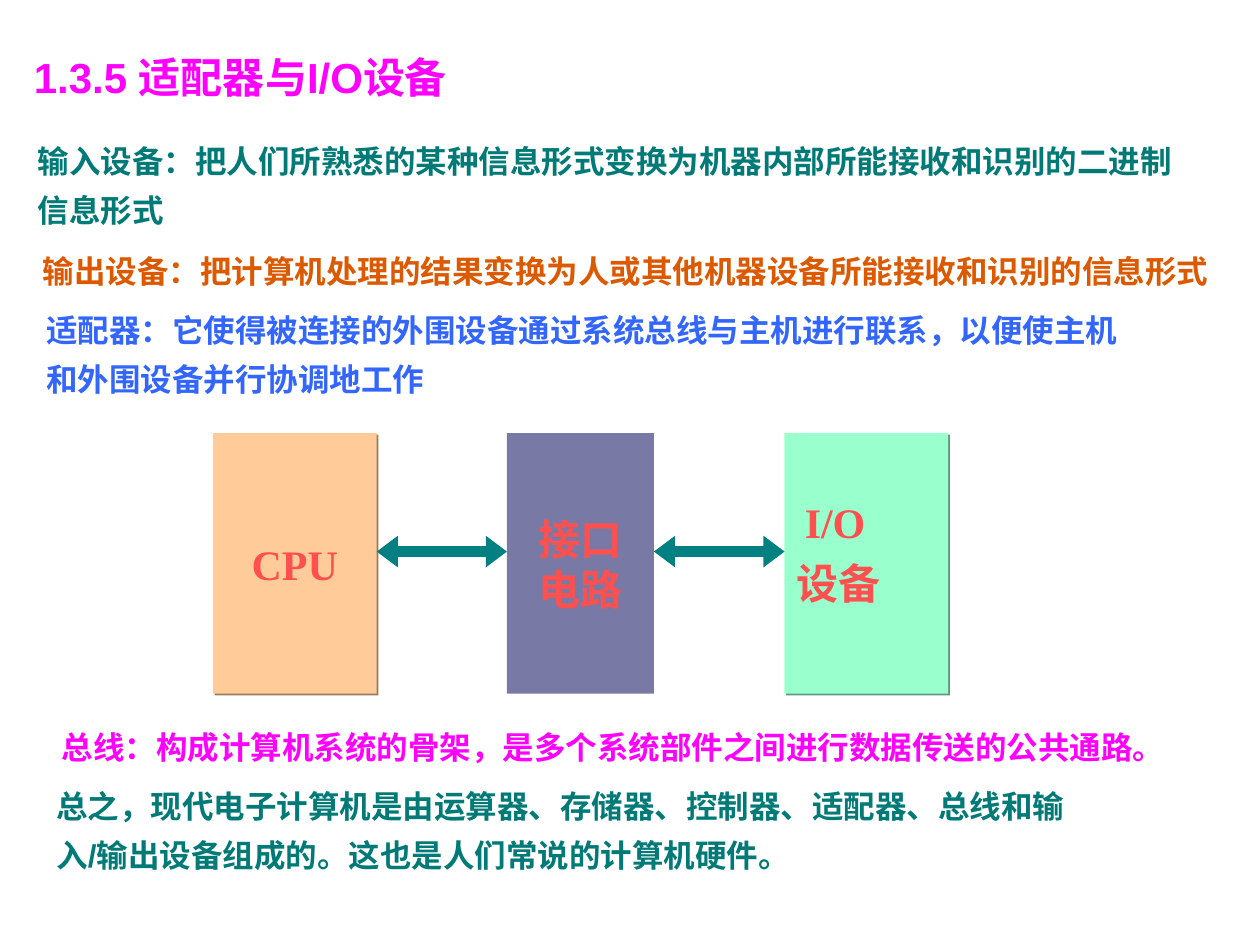
import pptx
import pptx.util
import pptx.dml.color
import pptx.enum.shapes
import pptx.enum.text
import pptx.oxml
import pptx.oxml.ns

Pt = pptx.util.Pt
ALIGN = pptx.enum.text.PP_ALIGN
ANCHOR = pptx.enum.text.MSO_ANCHOR

COLOURS = {
    "magenta": "FF00FF", "teal": "007A77", "orange": "DC5900", "blue": "3366FF",
    "red": "FF5050", "arrow": "008080", "peach": "FFCC99", "slate": "7979A5",
    "mint": "99FFCC", "peach shadow": "997A5C", "mint shadow": "5C997A",
}
SANS, SERIF = "Arial", "Times New Roman"

TITLE = "1.3.5 适配器与I/O设备"

# text, colour, left, top, width, height, wraps
STATEMENTS = [
    ("输入设备：把人们所熟悉的某种信息形式变换为机器内部所能接收和识别的二进制信息形式",
     "teal", 14.4, 71.3, 668.9, 63.4, True),
    ("输出设备：把计算机处理的结果变换为人或其他机器设备所能接收和识别的信息形式",
     "orange", 17.3, 133.9, 684, 35.3, False),
    ("适配器：它使得被连接的外围设备通过系统总线与主机进行联系，以便使主机和外围设备并行协调地工作",
     "blue", 19.4, 167.8, 637.9, 63.4, True),
    ("总线：构成计算机系统的骨架，是多个系统部件之间进行数据传送的公共通路。",
     "magenta", 28.1, 406.1, 648, 35.3, False),
    ("总之，现代电子计算机是由运算器、存储器、控制器、适配器、总线和输入/输出设备组成的。这也是人们常说的计算机硬件。",
     "teal", 25.2, 439.9, 629.3, 63.4, True),
]

# lines inside the block, fill, shadow, left, width
BLOCKS = [
    (["CPU"], "peach", "peach shadow", 121.7, 93.6),
    (["接口", "电路"], "slate", None, 289.7, 84),
    ([], "mint", "mint shadow", 448.3, 93.6),
]
BLOCK_TOP, BLOCK_HEIGHT = 247.5, 149
ARROW_Y = 315.2

# runs of each line: text, size
DEVICE_LABEL = [[(" ", 18), ("I/O", 24)], [("设备", 24)]]


def rgb(name):
    return pptx.dml.color.RGBColor.from_string(COLOURS[name])


def add_span(para, text, size, font, colour):
    span = para.add_run()
    span.text = text
    span.font.size = Pt(size)
    span.font.name = font
    span.font.bold = True
    span.font.color.rgb = rgb(colour)


def place(shape, left, top, width, height):
    shape.left, shape.top = Pt(left), Pt(top)
    shape.width, shape.height = Pt(width), Pt(height)


def paragraphs(frame, count):
    return [frame.paragraphs[0]] + [frame.add_paragraph() for _ in range(count - 1)]


def add_text_box(page, left, top, width, height, wraps):
    box = page.shapes.add_textbox(Pt(left), Pt(top), Pt(width), Pt(height))
    box.text_frame.word_wrap = wraps
    box.text_frame.auto_size = pptx.enum.text.MSO_AUTO_SIZE.SHAPE_TO_FIT_TEXT
    return box.text_frame


def drawing_xml(body):
    return pptx.oxml.parse_xml(body.replace(
        "<a:", f"<a:", 1).replace(">", f" {pptx.oxml.ns.nsdecls('a')}>", 1))


def add_shadow(shape, colour):
    effects = shape._element.spPr.find(pptx.oxml.ns.qn("a:effectLst"))
    effects.append(drawing_xml(
        f'<a:outerShdw dist="{Pt(1.4)}" dir="2700000" algn="ctr" rotWithShape="0">'
        f'<a:srgbClr val="{COLOURS[colour]}"/></a:outerShdw>'))


def add_block(page, lines, fill, shadow, left, width):
    block = page.shapes.add_shape(
        pptx.enum.shapes.MSO_SHAPE.RECTANGLE,
        Pt(left), Pt(BLOCK_TOP), Pt(width), Pt(BLOCK_HEIGHT))
    block.fill.solid()
    block.fill.fore_color.rgb = rgb(fill)
    block.line.fill.background()
    block.shadow.inherit = False
    if shadow:
        add_shadow(block, shadow)
    if lines:
        frame = block.text_frame
        frame.word_wrap = False
        frame.vertical_anchor = ANCHOR.MIDDLE
        for para, text in zip(paragraphs(frame, len(lines)), lines):
            para.alignment = ALIGN.CENTER
            add_span(para, text, 24, SERIF, "red")


def add_double_arrow(page, start, end):
    arrow = page.shapes.add_connector(
        pptx.enum.shapes.MSO_CONNECTOR.STRAIGHT,
        Pt(start), Pt(ARROW_Y), Pt(end), Pt(ARROW_Y))
    arrow.line.color.rgb = rgb("arrow")
    arrow.line.width = Pt(6)
    line = arrow.line._get_or_add_ln()
    for tip in ("headEnd", "tailEnd"):
        line.append(drawing_xml(f'<a:{tip} type="triangle" w="med" len="sm"></a:{tip}>'))
    arrow._element.spPr.append(drawing_xml("<a:effectLst></a:effectLst>"))


def main():
    deck = pptx.Presentation()
    deck.slide_width, deck.slide_height = Pt(720), Pt(540)
    page = deck.slides.add_slide(deck.slide_layouts.get_by_name("Title Only"))

    # Title
    title = page.shapes.title
    place(title, 12.2, 25.9, 272.9, 36)
    frame = title.text_frame
    frame.word_wrap = False
    frame.auto_size = pptx.enum.text.MSO_AUTO_SIZE.SHAPE_TO_FIT_TEXT
    frame.vertical_anchor = ANCHOR.TOP
    frame.paragraphs[0].alignment = ALIGN.LEFT
    add_span(frame.paragraphs[0], TITLE, 24, SANS, "magenta")

    # Definitions and summary
    for text, colour, *position in STATEMENTS:
        para = add_text_box(page, *position).paragraphs[0]
        para.line_spacing = 1.3
        add_span(para, text, 18, SANS, colour)

    # Diagram blocks
    for block in BLOCKS:
        add_block(page, *block)

    # Device label over the last block
    left, width = BLOCKS[-1][-2:]
    frame = add_text_box(page, left, 288, width, 62.6, True)
    for para, line in zip(paragraphs(frame, len(DEVICE_LABEL)), DEVICE_LABEL):
        para.line_spacing = 0.7
        para.space_before = Pt(15)
        for text, size in line:
            add_span(para, text, size, SERIF, "red")

    # Arrows bridge each pair of neighbouring blocks
    for (*_, left, width), (*_, next_left, _) in zip(BLOCKS, BLOCKS[1:]):
        add_double_arrow(page, left + width, next_left)

    deck.save("out.pptx")


if __name__ == "__main__":
    main()
